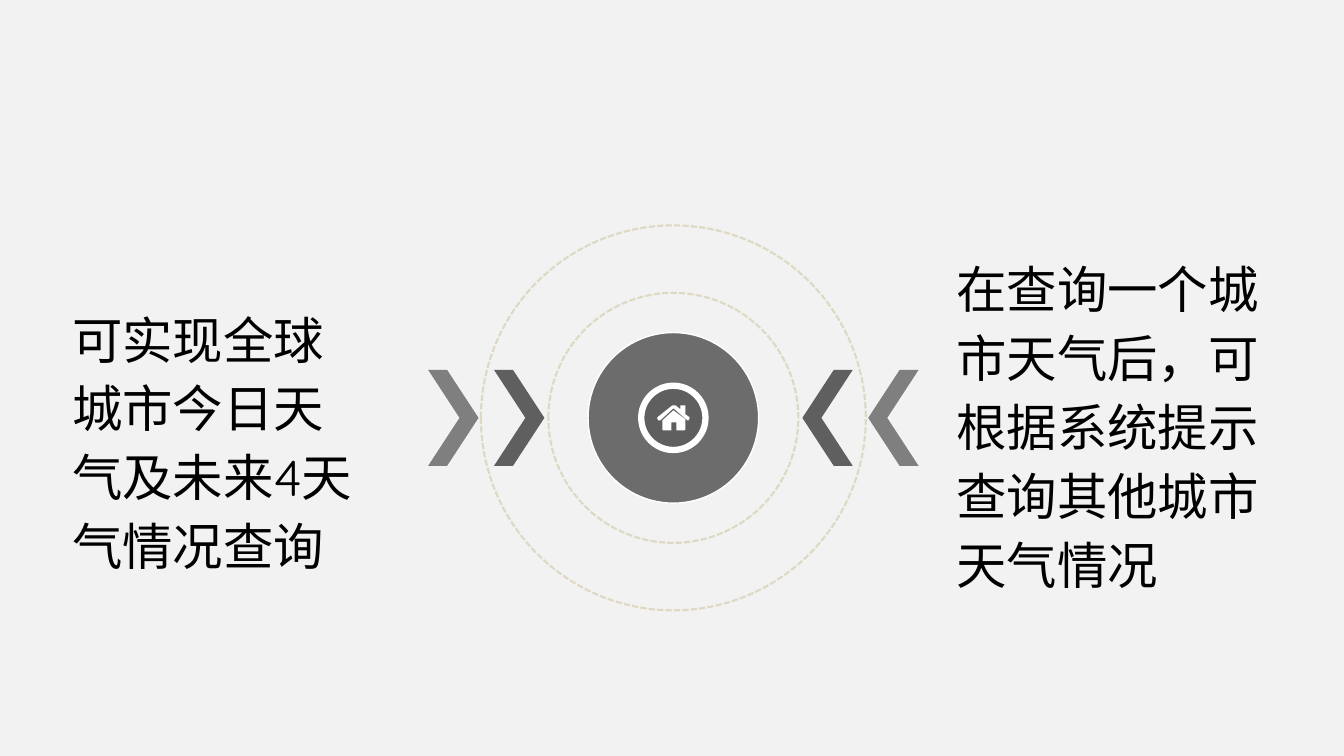
from lxml import etree
from pptx import Presentation
from pptx.dml.color import RGBColor
from pptx.enum.dml import MSO_LINE
from pptx.enum.shapes import MSO_SHAPE
from pptx.enum.text import MSO_AUTO_SIZE
from pptx.oxml.ns import qn
from pptx.util import Cm, Pt

OVAL = MSO_SHAPE.OVAL
CHEVRON = MSO_SHAPE.CHEVRON
SHORT_DASH = MSO_LINE.SQUARE_DOT
GROW = MSO_AUTO_SIZE.SHAPE_TO_FIT_TEXT

COLORS = {
    "background": "F2F2F2",
    "disc": "474747",
    "dark": "5F5F5F",
    "light": "7F7F7F",
    "ring": "DDD9C3",
    "white": "FFFFFF",
    "text": "000000",
}
TEXT_FORMAT = {"name": "Quicksand", "size": Pt(36)}

EMBLEM_BOX = (10.79, 5.68, 12.36, 9.7)
LEFT_TEXT_BOX = (1.57, 7.44, 7.75, 9.02)
RIGHT_TEXT_BOX = (23.85, 6.17, 8.71, 9.02)

HOUSE_UNIT = 0.0254
HOUSE_SIZE = (32, 25)
ROOF = [(31, 15), (30, 15), (16, 3), (3, 15), (1, 15), (0, 13), (0, 12), (15, 0),
        (18, 0), (23, 4), (23, 0), (28, 0), (28, 9), (32, 12), (32, 13)]
WALLS = [(28, 24), (27, 25), (19, 25), (19, 17), (14, 17), (14, 25),
         (6, 25), (5, 24), (5, 15), (16, 5), (28, 14)]


def color(name):
    return RGBColor.from_string(COLORS[name])


def paint(shape, fill=None, line=None, width=1, dash=None):
    shape.shadow.inherit = False
    if fill:
        shape.fill.solid()
        shape.fill.fore_color.rgb = color(fill)
    else:
        shape.fill.background()
    if line:
        shape.line.color.rgb = color(line)
        shape.line.width = Pt(width)
        if dash:
            shape.line.dash_style = dash
    else:
        shape.line.fill.background()


def add_centered(shapes, kind, center, width, height):
    x, y = center
    return shapes.add_shape(kind, Cm(x - width / 2), Cm(y - height / 2), Cm(width), Cm(height))


def add_circle(shapes, center, diameter, **style):
    circle = add_centered(shapes, OVAL, center, diameter, diameter)
    paint(circle, **style)
    return circle


def add_house(shapes, center):
    builder = shapes.build_freeform(*ROOF[0], scale=Cm(HOUSE_UNIT))
    builder.add_line_segments(ROOF[1:], close=True)
    builder.move_to(*WALLS[0])
    builder.add_line_segments(WALLS[1:], close=True)
    left, top = (middle - size * HOUSE_UNIT / 2 for middle, size in zip(center, HOUSE_SIZE))
    paint(builder.convert_to_shape(Cm(left), Cm(top)), fill="white")


def add_emblem(page, box):
    left, top, width, height = box
    center = (left + width / 2, top + height / 2)
    shapes = page.shapes.add_group_shape().shapes

    disc = add_circle(shapes, center, 4.3, fill="disc", line="white")
    tint = disc.fill._xPr.find(qn("a:solidFill"))[0]
    etree.SubElement(tint, qn("a:alpha"), val="78000")

    arrow_width = 1.27
    outer = (width - arrow_width) / 2
    for fill, distance in (("dark", outer - 1.66), ("light", outer)):
        for side, rotation in ((-1, 0), (1, 180)):
            spot = (center[0] + side * distance, center[1])
            arrow = add_centered(shapes, CHEVRON, spot, arrow_width, 2.42)
            arrow.adjustments[0] = 0.623
            arrow.rotation = rotation
            paint(arrow, fill=fill)

    add_circle(shapes, center, 1.62, fill="dark", line="white", width=4.5)
    add_house(shapes, center)
    for diameter in (height, 6.3):
        add_circle(shapes, center, diameter, line="ring", width=1.5, dash=SHORT_DASH)


def add_description(page, box, text):
    frame = page.shapes.add_textbox(*map(Cm, box)).text_frame
    frame.word_wrap = True
    frame.auto_size = GROW
    para = frame.paragraphs[0]
    para.line_spacing = 1.14
    span = para.add_run()
    span.text = text
    for attribute, value in TEXT_FORMAT.items():
        setattr(span.font, attribute, value)
    span.font.color.rgb = color("text")


def main():
    deck = Presentation()
    deck.slide_width = Cm(33.87)
    deck.slide_height = Cm(19.05)
    page = deck.slides.add_slide(deck.slide_layouts[6])
    page.background.fill.solid()
    page.background.fill.fore_color.rgb = color("background")
    add_emblem(page, EMBLEM_BOX)
    add_description(page, RIGHT_TEXT_BOX, "在查询一个城市天气后，可根据系统提示查询其他城市天气情况")
    add_description(page, LEFT_TEXT_BOX, "可实现全球城市今日天气及未来4天气情况查询")
    deck.save("out.pptx")


if __name__ == "__main__":
    main()
